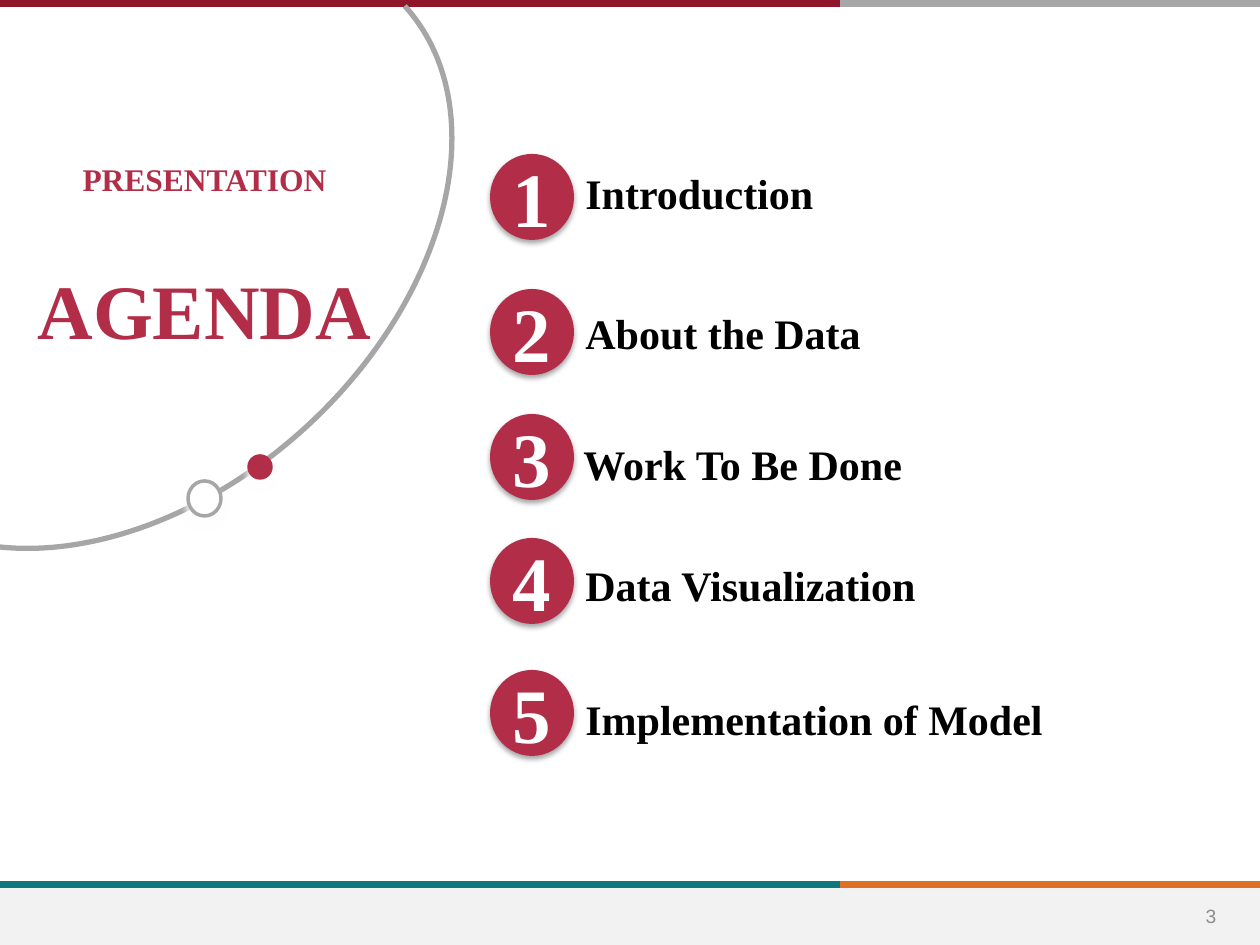
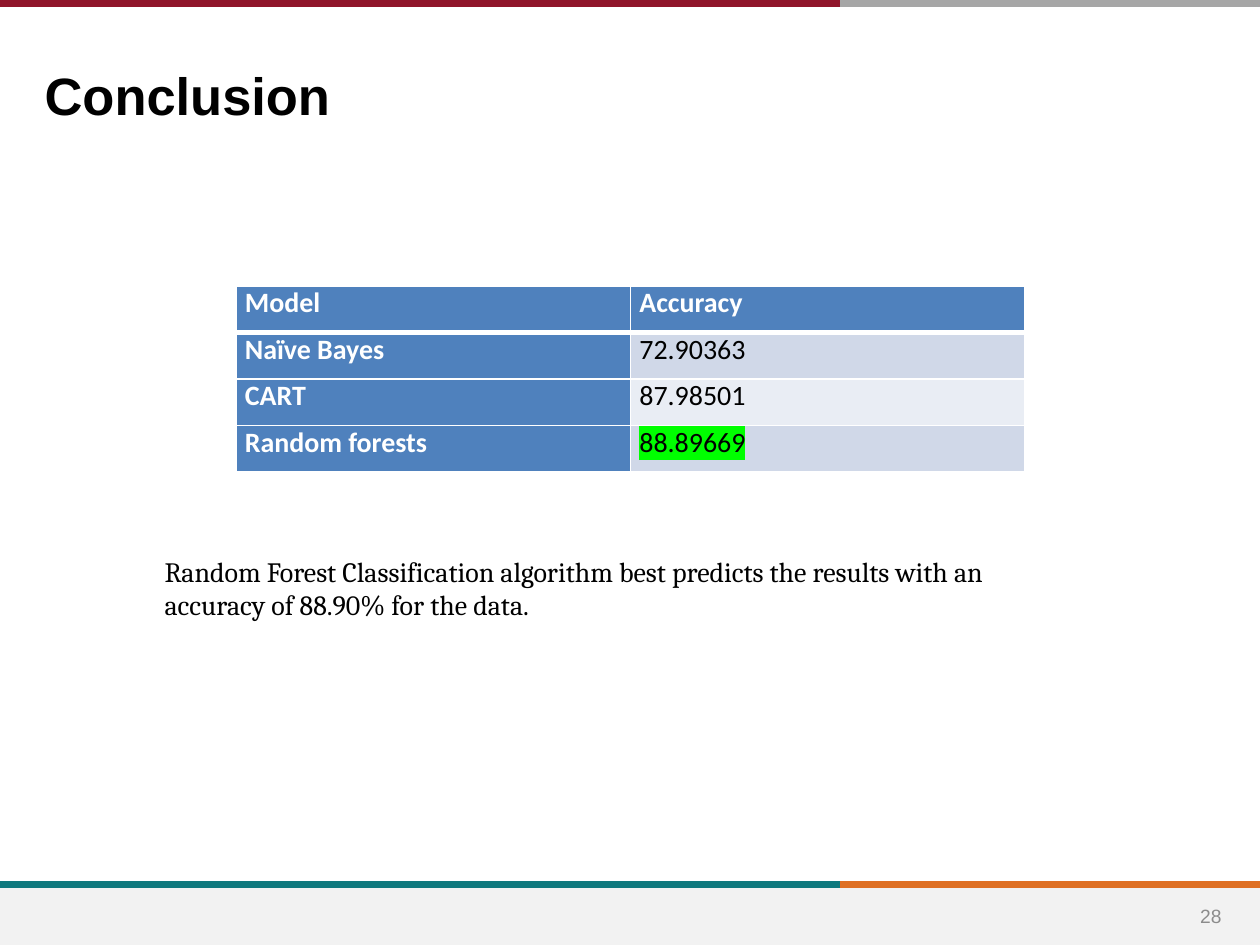
"""Build the agenda and conclusion slides of a model comparison deck."""
from dataclasses import dataclass
from typing import Any, Optional

from lxml import etree
from pptx import Presentation
from pptx import util as u
from pptx.dml.color import RGBColor
from pptx.enum import shapes, text
from pptx.oxml.ns import qn

SCALE = 914400 / 126
WIDTH, HEIGHT, SPLIT = 1260, 945, 840

COLORS = {
    "crimson": "B22D48", "maroon": "90152A", "gray": "A6A6A6", "teal": "0F787D",
    "orange": "DF7023", "footer": "F2F2F2", "page": "8C8C8C", "white": "FFFFFF",
    "black": "000000", "blue": "4F81BD", "band_dark": "D0D8E8",
    "band_light": "E9EDF4", "highlight": "00FF00",
}


def font_format(name: str, size: int, bold: bool = False) -> dict[str, Any]:
    """Return font attributes."""
    return {"name": name, "size": u.Pt(size), "bold": bold}


SERIF = "Times New Roman"
FONTS = {
    "page": font_format("Arial", 11),
    "title": font_format("Arial", 30, True),
    "kicker": font_format(SERIF, 18, True),
    "large": font_format(SERIF, 44, True),
    "topic": font_format(SERIF, 24, True),
    "cell": font_format("Calibri", 16),
    "header": font_format("Calibri", 16, True),
    "finding": font_format("Cambria", 16),
}


@dataclass(frozen=True)
class Band:
    """A coloured rule across part of the page."""
    start: int
    end: int
    y: int
    color: str


@dataclass(frozen=True)
class Shadow:
    """An outer shadow falling straight down."""
    color: str
    opacity: int
    blur: float
    distance: float


@dataclass(frozen=True)
class Disc:
    """A filled ellipse with an optional outline."""
    left: int
    top: int
    width: int
    height: int
    fill: str
    shadow: Shadow
    line: Optional[str] = None


@dataclass(frozen=True)
class Topic:
    """An agenda entry with the tops of its disc and its label."""
    label: str
    disc_top: int
    label_top: int
    label_left: int = 573


BANDS = [
    Band(SPLIT, WIDTH, 885, "orange"), Band(0, SPLIT, 885, "teal"),
    Band(SPLIT, WIDTH, 4, "gray"), Band(0, SPLIT, 4, "maroon"),
]
GLOW = Shadow("white", 100, 4, 4)
SOFT = Shadow("black", 35, 3.1, 1.8)
ORBIT_DISCS = [
    Disc(188, 481, 33, 35, "white", GLOW, "gray"),
    Disc(249, 456, 22, 22, "crimson", GLOW, "crimson"),
]
TOPICS = [
    Topic("Introduction", 154, 161),
    Topic("About the Data", 289, 301),
    Topic("Work To Be Done", 414, 432, 571),
    Topic("Data Visualization", 538, 553),
    Topic("Implementation of Model", 670, 687),
]
RESULTS = [
    ("Model", "Accuracy"), ("Naïve Bayes", "72.90363"),
    ("CART", "87.98501"), ("Random forests", "88.89669"),
]
FINDING = ("Random Forest Classification algorithm best predicts the results "
           "with an accuracy of 88.90% for the data.")


def px(length: int) -> u.Emu:
    """Turn pixels into EMU."""
    return u.Emu(round(length * SCALE))


def rgb(color: str) -> RGBColor:
    """Look up a named colour."""
    return RGBColor.from_string(COLORS[color])


def assign(target: Any, values: dict[str, Any]) -> None:
    """Set each attribute in values on the target."""
    for attribute, value in values.items():
        setattr(target, attribute, value)


def place(shape: Any, left: int, top: int, width: int, height: int) -> None:
    """Move and size a shape in pixels."""
    assign(shape, {"left": px(left), "top": px(top),
                   "width": px(width), "height": px(height)})


def write(paragraph: Any, words: str, font: str, color: str,
          align: Any = text.PP_ALIGN.LEFT) -> Any:
    """Write one formatted run and return it."""
    paragraph.alignment = align
    run = paragraph.add_run()
    run.text = words
    assign(run.font, FONTS[font])
    run.font.color.rgb = rgb(color)
    return run


def outline(line: Any, color: str, points: float) -> None:
    """Colour a line and set its width."""
    line.color.rgb = rgb(color)
    line.width = u.Pt(points)


def draw_band(slide: Any, band: Band) -> None:
    """Draw a horizontal rule without a shadow."""
    rule = slide.shapes.add_connector(
        shapes.MSO_CONNECTOR.STRAIGHT,
        px(band.start), px(band.y), px(band.end), px(band.y))
    outline(rule.line, band.color, 4)
    etree.SubElement(rule._element.spPr, qn("a:effectLst"))


def add_preset(slide: Any, preset: Any, left: int, top: int, width: int,
               height: int, fill: Optional[str] = None) -> Any:
    """Add a preset shape with no line or shadow."""
    shape = slide.shapes.add_shape(preset, px(left), px(top), px(width), px(height))
    shape.shadow.inherit = False
    shape.line.fill.background()
    if fill:
        shape.fill.solid()
        shape.fill.fore_color.rgb = rgb(fill)
    else:
        shape.fill.background()
    return shape


def draw_disc(slide: Any, disc: Disc) -> Any:
    """Draw a disc with its shadow."""
    ellipse = add_preset(slide, shapes.MSO_SHAPE.OVAL, disc.left, disc.top,
                         disc.width, disc.height, disc.fill)
    if disc.line:
        outline(ellipse.line, disc.line, 2)
    effects = ellipse._element.spPr.find(qn("a:effectLst"))
    cast = etree.SubElement(
        effects, qn("a:outerShdw"), blurRad=str(u.Pt(disc.shadow.blur)),
        dist=str(u.Pt(disc.shadow.distance)), dir="5400000", rotWithShape="0")
    tint = etree.SubElement(cast, qn("a:srgbClr"), val=COLORS[disc.shadow.color])
    etree.SubElement(tint, qn("a:alpha"), val=str(disc.shadow.opacity * 1000))
    return ellipse


def add_words(slide: Any, left: int, top: int, width: int, height: int,
              words: str, font: str, color: str,
              align: Any = text.PP_ALIGN.LEFT) -> None:
    """Add a wrapped, vertically centred text box."""
    frame = slide.shapes.add_textbox(
        px(left), px(top), px(width), px(height)).text_frame
    assign(frame, {"word_wrap": True, "vertical_anchor": text.MSO_ANCHOR.MIDDLE})
    write(frame.paragraphs[0], words, font, color, align)


def add_page(deck: Any, layout: int, number: int) -> Any:
    """Add a slide with the shared bands, footer and page number."""
    slide = deck.slides.add_slide(deck.slide_layouts[layout])
    for band in BANDS[:2]:
        draw_band(slide, band)
    add_preset(slide, shapes.MSO_SHAPE.RECTANGLE, 0, 888, WIDTH, 57, "footer")
    for band in BANDS[2:]:
        draw_band(slide, band)
    add_words(slide, 1178, 891, 66, 50, str(number), "page", "page",
              text.PP_ALIGN.CENTER)
    return slide


def prepare(placeholder: Any, anchor: Any) -> Any:
    """Give a placeholder fixed, wrapped text and return its frame."""
    frame = placeholder.text_frame
    assign(frame, {"word_wrap": True, "vertical_anchor": anchor,
                   "auto_size": text.MSO_AUTO_SIZE.NONE})
    return frame


def draw_topic(slide: Any, number: int, topic: Topic) -> None:
    """Draw a numbered disc and its label."""
    disc = draw_disc(slide, Disc(490, topic.disc_top, 84, 86, "crimson", SOFT))
    frame = disc.text_frame
    assign(frame, {"margin_left": 0, "margin_right": 0, "margin_top": 0,
                   "margin_bottom": 0, "word_wrap": False,
                   "vertical_anchor": text.MSO_ANCHOR.MIDDLE})
    write(frame.paragraphs[0], str(number), "large", "white", text.PP_ALIGN.CENTER)
    add_words(slide, topic.label_left, topic.label_top, 560, 63,
              topic.label, "topic", "black")


def build_agenda(deck: Any) -> None:
    """Build the agenda slide."""
    slide = add_page(deck, 5, 3)
    orbit = add_preset(slide, shapes.MSO_SHAPE.ARC, -105, -111, 490, 716)
    orbit.rotation = 47.7
    orbit.adjustments[0], orbit.adjustments[1] = 162, 40.75
    outline(orbit.line, "gray", 3)
    for disc in ORBIT_DISCS:
        draw_disc(slide, disc)
    title = slide.shapes.title
    place(title, -31, 154, 471, 280)
    frame = prepare(title, text.MSO_ANCHOR.TOP)
    write(frame.paragraphs[0], "PRESENTATION", "kicker", "crimson",
          text.PP_ALIGN.CENTER)
    agenda = frame.add_paragraph()
    agenda.space_before = u.Pt(37)
    write(agenda, "AGENDA", "large", "crimson", text.PP_ALIGN.CENTER)
    for number, topic in enumerate(TOPICS, 1):
        draw_topic(slide, number, topic)


def fill_cell(cell: Any, row: int, column: int, words: str) -> None:
    """Write, border and colour one result cell."""
    heading = row == 0 or column == 0
    assign(cell, {"margin_left": px(9), "margin_right": px(9),
                  "margin_top": 0, "margin_bottom": 0})
    run = write(cell.text_frame.paragraphs[0], words,
                "header" if heading else "cell", "white" if heading else "black")
    if words == RESULTS[-1][1]:
        mark = etree.Element(qn("a:highlight"))
        etree.SubElement(mark, qn("a:srgbClr"), val=COLORS["highlight"])
        run._r.rPr.find(qn("a:latin")).addprevious(mark)
    widths = {"lnL": 1, "lnR": 1, "lnT": 3 if row == 1 else 1,
              "lnB": 3 if row == 0 else 1}
    for side, points in widths.items():
        border = etree.SubElement(cell._tc.get_or_add_tcPr(), qn(f"a:{side}"),
                                  w=str(u.Pt(points)))
        paint = etree.SubElement(border, qn("a:solidFill"))
        etree.SubElement(paint, qn("a:srgbClr"), val=COLORS["white"])
    cell.fill.solid()
    stripe = "band_dark" if row % 2 else "band_light"
    cell.fill.fore_color.rgb = rgb("blue" if heading else stripe)


def build_conclusion(deck: Any) -> None:
    """Build the conclusion slide."""
    slide = add_page(deck, 1, 28)
    title, finding = slide.shapes.title, slide.placeholders[1]
    place(title, 32, 58, 1007, 74)
    write(prepare(title, text.MSO_ANCHOR.MIDDLE).paragraphs[0],
          "Conclusion", "title", "black")
    results = slide.shapes.add_table(
        len(RESULTS), 2, px(236), px(286), px(789), px(186)).table
    for row, values in enumerate(RESULTS):
        for column, words in enumerate(values):
            fill_cell(results.cell(row, column), row, column, words)
    place(finding, 152, 548, 900, 80)
    sentence = prepare(finding, text.MSO_ANCHOR.MIDDLE).paragraphs[0]
    layout = sentence._p.get_or_add_pPr()
    layout.set("marL", "0")
    layout.set("indent", "0")
    etree.SubElement(layout, qn("a:buNone"))
    sentence.space_before = u.Pt(0)
    write(sentence, FINDING, "finding", "black")


def main() -> None:
    """Build and save the deck."""
    deck = Presentation()
    assign(deck, {"slide_width": px(WIDTH), "slide_height": px(HEIGHT)})
    build_agenda(deck)
    build_conclusion(deck)
    deck.save("out.pptx")


if __name__ == "__main__":
    main()
